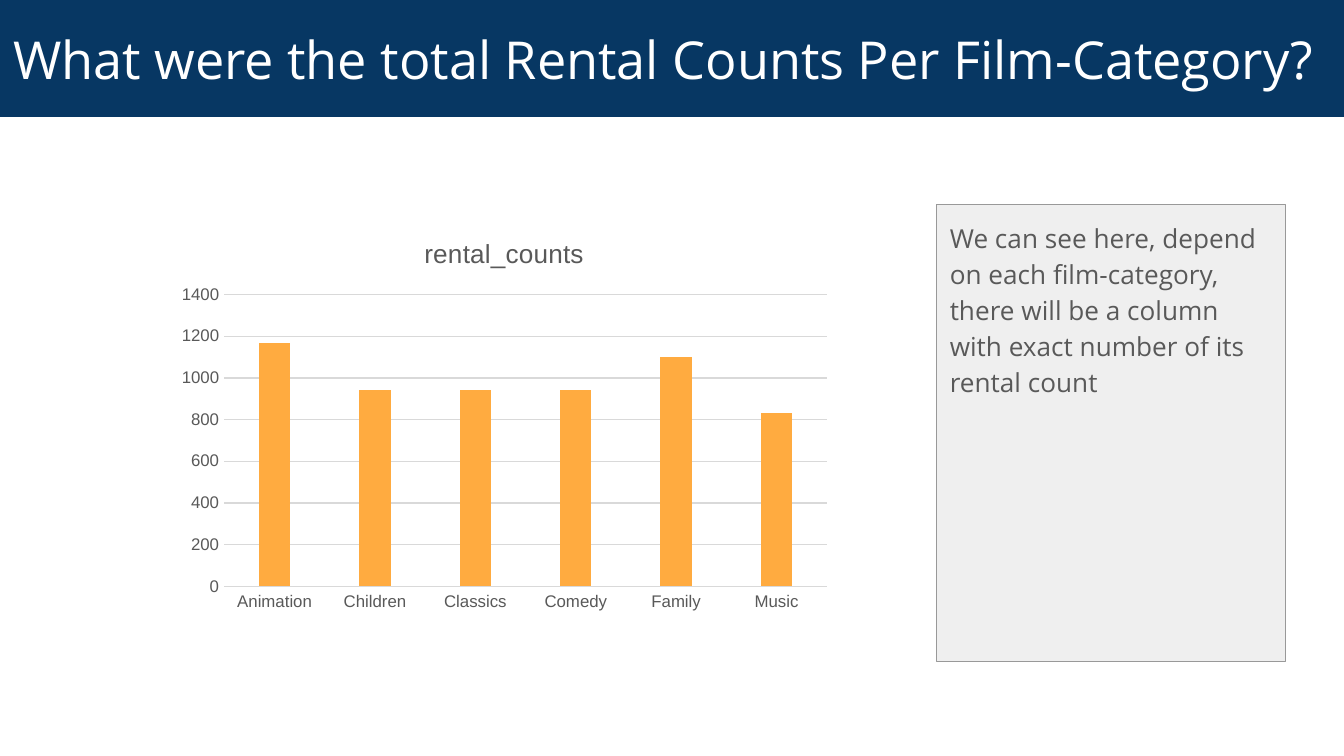
from lxml import etree
from pptx import Presentation
from pptx import util as u
from pptx.chart.data import CategoryChartData
from pptx.dml.color import RGBColor
from pptx.enum import chart as ch
from pptx.enum import text
from pptx.oxml.ns import qn

COLORS = {
    "banner": "073763",
    "banner_text": "FFFFFF",
    "panel": "EFEFEF",
    "panel_edge": "999999",
    "text": "595959",
    "grid": "D9D9D9",
    "bar": "FFAB40",
}
RENTAL_COUNTS = {
    "Animation": 1170,
    "Children": 940,
    "Classics": 940,
    "Comedy": 940,
    "Family": 1100,
    "Music": 830,
}


def rgb(name):
    return RGBColor.from_string(COLORS[name])


def set_font(font, face, size, color):
    font.name = face
    font.size = u.Pt(size)
    font.bold = False
    font.color.rgb = rgb(color)


def set_line(line, color):
    line.color.rgb = rgb(color)
    line.width = u.Pt(0.75)


def fill_placeholder(holder, box, fill, words, size, color, anchor):
    """Place a filled placeholder and write one left-aligned, unbulleted paragraph."""
    holder.left, holder.top, holder.width, holder.height = map(u.Cm, box)
    holder.fill.solid()
    holder.fill.fore_color.rgb = rgb(fill)
    frame = holder.text_frame
    frame.word_wrap = True
    frame.auto_size = text.MSO_AUTO_SIZE.NONE
    frame.vertical_anchor = anchor
    frame.margin_left = frame.margin_right = u.Cm(0.25)
    frame.margin_top = frame.margin_bottom = u.Cm(0.25)
    paragraph = frame.paragraphs[0]
    paragraph.alignment = text.PP_ALIGN.LEFT
    paragraph.space_before = u.Pt(0)
    run = paragraph.add_run()
    run.text = words
    set_font(run.font, "Open Sans", size, color)
    return paragraph


def remove_bullet(paragraph):
    properties = paragraph._p.get_or_add_pPr()
    properties.set("marL", "0")
    properties.set("indent", "0")
    etree.SubElement(properties, qn("a:buNone"))


def add_title(slide):
    fill_placeholder(
        slide.shapes.title, (0, 0, 25.4, 2.21), "banner",
        "What were the total Rental Counts Per Film-Category?",
        28, "banner_text", text.MSO_ANCHOR.MIDDLE)


def add_comment(slide):
    panel = slide.placeholders[1]
    comment = fill_placeholder(
        panel, (17.7, 3.86, 6.6, 8.64), "panel",
        "We can see here, depend on each film-category, there will be "
        "a column with exact number of its rental count",
        14, "text", text.MSO_ANCHOR.TOP)
    comment.line_spacing = 1.15
    comment.space_after = u.Pt(16)
    remove_bullet(comment)
    set_line(panel.line, "panel_edge")


def style_axis(axis):
    axis.major_tick_mark = axis.minor_tick_mark = ch.XL_TICK_MARK.NONE
    set_font(axis.tick_labels.font, "Arial", 9, "text")


def add_rental_chart(slide):
    data = CategoryChartData()
    data.categories = list(RENTAL_COUNTS)
    data.add_series("rental_counts", list(RENTAL_COUNTS.values()))
    chart = slide.shapes.add_chart(
        ch.XL_CHART_TYPE.COLUMN_CLUSTERED,
        u.Cm(3.18), u.Cm(4.09), u.Cm(12.7), u.Cm(7.62), data).chart
    set_font(chart.font, "Arial", 10, "text")
    chart.has_legend = False

    chart.has_title = True
    heading = chart.chart_title.text_frame.paragraphs[0].add_run()
    heading.text = "rental_counts"
    set_font(heading.font, "Arial", 14, "text")
    chart.chart_title.include_in_layout = False

    plot = chart.plots[0]
    plot.gap_width = 219
    plot.overlap = -27
    plot.vary_by_categories = False
    bars = plot.series[0].format.fill
    bars.solid()
    bars.fore_color.rgb = rgb("bar")

    categories, counts = chart.category_axis, chart.value_axis
    style_axis(categories)
    style_axis(counts)
    set_line(categories.format.line, "grid")
    counts.format.line.fill.background()
    counts.minimum_scale, counts.maximum_scale = 0, 1400
    counts.major_unit = 200
    counts.has_major_gridlines = True
    set_line(counts.major_gridlines.format.line, "grid")


def main():
    deck = Presentation()
    deck.slide_width, deck.slide_height = u.Cm(25.4), u.Cm(14.29)
    slide = deck.slides.add_slide(deck.slide_layouts[1])
    add_title(slide)
    add_comment(slide)
    add_rental_chart(slide)
    deck.save("out.pptx")


if __name__ == "__main__":
    main()
